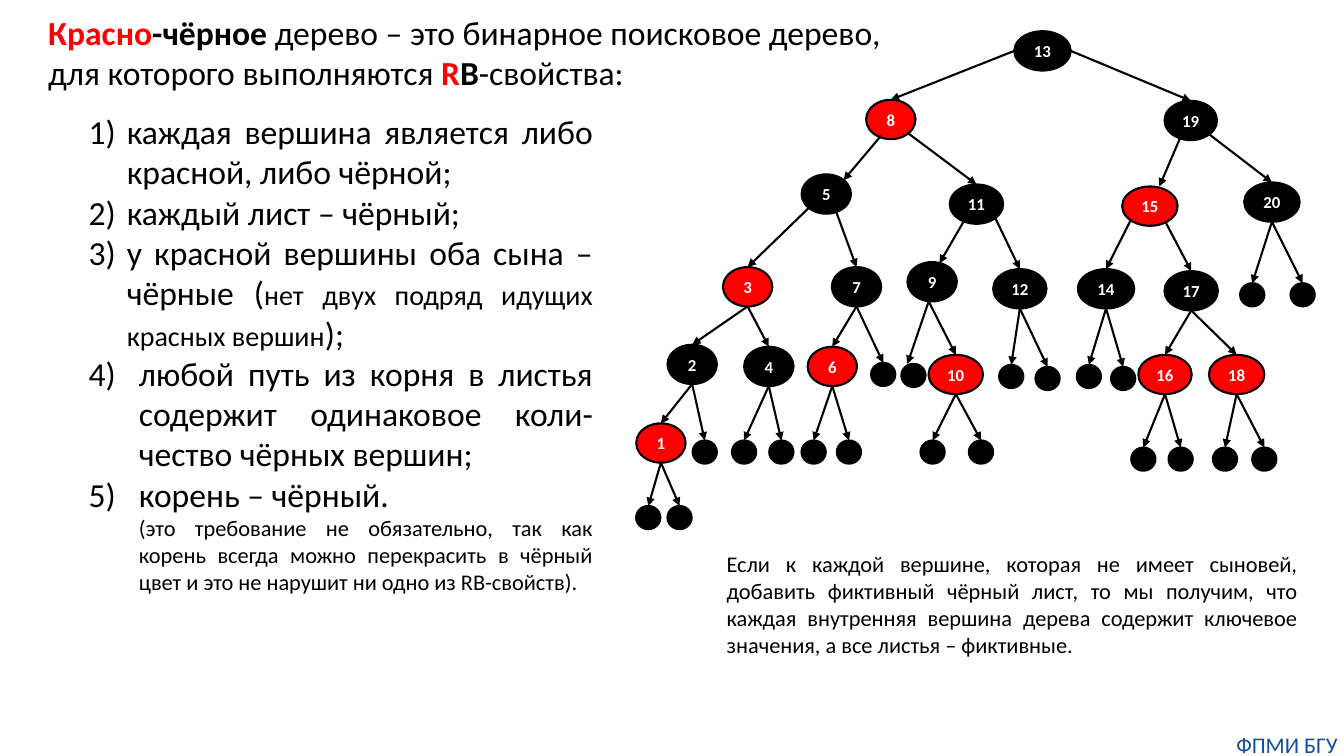
"""Build a slide that defines red-black trees and shows an example tree."""
from dataclasses import dataclass

from lxml.etree import SubElement
from pptx import Presentation
from pptx.dml.color import RGBColor
from pptx.enum.shapes import MSO_CONNECTOR, MSO_SHAPE
from pptx.enum.text import MSO_ANCHOR, PP_ALIGN
from pptx.oxml.ns import qn
from pptx.util import Inches, Pt

BLACK = RGBColor(0x00, 0x00, 0x00)
RED = RGBColor(0xFF, 0x00, 0x00)
WHITE = RGBColor(0xFF, 0xFF, 0xFF)
BLUE = RGBColor(0x14, 0x4E, 0x9D)
FONT = "Calibri"
LINE_WIDTH = Pt(1.5)


@dataclass(frozen=True)
class Node:
    """A tree vertex; leave and arrive are fractions of the parent and own box."""
    label: str
    parent: str
    left: float
    top: float
    width: float = 0.49
    height: float = 0.39
    fill: RGBColor = BLACK
    leave: tuple[float, float] = (0.5, 1)
    arrive: tuple[float, float] = (0.5, 0)

    def point(self, fraction: tuple[float, float]) -> tuple[float, float]:
        """Return the slide position of a fraction of the box."""
        return self.left + self.width * fraction[0], self.top + self.height * fraction[1]


@dataclass(frozen=True)
class Rule:
    """One numbered property with its numbering start and hanging indent."""
    runs: tuple[tuple[str, int], ...]
    start: int = 1
    margin: float = 0.88
    hanging: float = 0.38


KEYS = [
    Node("13", "", 10.06, 0.31, 0.56),
    Node("8", "13", 8.59, 0.99, fill=RED, leave=(0, 0.5)),
    Node("19", "13", 11.55, 1, 0.52, leave=(1, 0.5)),
    Node("5", "8", 7.95, 1.73, leave=(0.3, 0.92), arrive=(0.85, 0.15)),
    Node("11", "8", 9.42, 1.83, 0.53, leave=(0.85, 0.85)),
    Node("15", "19", 11.13, 1.85, 0.55, fill=RED, leave=(0.29, 0.97), arrive=(0.67, 0)),
    Node("20", "19", 12.34, 1.81, 0.55, leave=(0.85, 0.85)),
    Node("3", "5", 7.17, 2.65, fill=RED, leave=(0.15, 0.85)),
    Node("7", "5", 8.25, 2.65, leave=(0.7, 0.95)),
    Node("9", "11", 9, 2.6, leave=(0.27, 0.92), arrive=(0.65, 0.03)),
    Node("12", "11", 9.85, 2.67, 0.53, leave=(0.85, 0.85)),
    Node("14", "15", 10.69, 2.67, 0.56, leave=(0.15, 0.87)),
    Node("17", "15", 11.55, 2.69, 0.53, leave=(0.78, 0.9)),
    Node("2", "3", 6.62, 3.42),
    Node("4", "3", 7.38, 3.44),
    Node("6", "7", 8.01, 3.44, fill=RED),
    Node("10", "9", 9.21, 3.52, 0.54, fill=RED, leave=(0.43, 1)),
    Node("16", "17", 11.29, 3.52, 0.53, fill=RED),
    Node("18", "17", 11.99, 3.52, 0.55, fill=RED),
    Node("1", "2", 6.31, 4.2, fill=RED),
]
LEAF_PLACES = [
    ("1", 6.31, 5.02), ("1", 6.62, 5.02), ("2", 6.87, 4.37),
    ("4", 7.26, 4.37), ("4", 7.63, 4.37), ("6", 7.95, 4.37), ("6", 8.3, 4.37),
    ("7", 8.64, 3.6), ("10", 9.13, 4.37), ("10", 9.61, 4.37),
    ("12", 9.91, 3.62), ("12", 10.27, 3.64), ("14", 10.68, 3.62), ("14", 11.02, 3.64),
    ("16", 11.22, 4.44), ("16", 11.59, 4.44), ("18", 12.03, 4.44), ("18", 12.42, 4.44),
    ("20", 12.3, 2.81), ("20", 12.8, 2.81),
]
LEAVES = [Node("", parent, left, top, 0.24, 0.23) for parent, left, top in LEAF_PLACES]
LEAVES.append(Node("", "9", 8.94, 3.61, 0.24, 0.23, leave=(0.43, 1), arrive=(0.25, 0)))

RULES = [
    Rule((("каждая вершина являетcя либо красной, либо чёрной;", 24),)),
    Rule((("каждый лист – чёрный;", 24),)),
    Rule((("у красной вершины оба сына – чёрные (", 24),
          ("нет двух подряд идущих красных вершин", 20), (");", 24))),
    Rule((("любой путь из корня в листья содержит одинаковое коли-чество чёрных вершин;", 24),),
         4, 1, 0.5),
    Rule((("корень – чёрный.", 24),), 4, 1, 0.5),
    Rule((("(это требование не обязательно, так как корень всегда можно перекрасить "
           "в чёрный цвет и это не нарушит ни одно из RB-свойств).", 16),), 0, 1, 0),
]
TITLE = [
    [("Красно", RED, True), ("-чёрное ", BLACK, True),
     ("дерево – это бинарное поисковое дерево, ", BLACK, False)],
    [("для которого выполняются ", BLACK, False), ("R", RED, True), ("B", BLACK, True),
     ("-свойства:", BLACK, False)],
]
NOTE = ("Если к каждой вершине, которая не имеет сыновей, добавить фиктивный чёрный лист, "
        "то мы получим, что каждая внутренняя вершина дерева содержит ключевое значения, "
        "а все листья – фиктивные.")


def add_text(p, text: str, *, size: int, color: RGBColor = BLACK, bold: bool = False,
             align: PP_ALIGN = PP_ALIGN.JUSTIFY) -> None:
    """Append a formatted run to a paragraph."""
    p.alignment = align
    r = p.add_run()
    r.text = text
    r.font.name = FONT
    r.font.size = Pt(size)
    r.font.bold = bold
    r.font.color.rgb = color


def add_box(s, left: float, top: float, width: float, height: float, wrap: bool = True):
    """Add a text box and return its text frame."""
    tf = s.shapes.add_textbox(Inches(left), Inches(top), Inches(width), Inches(height)).text_frame
    tf.word_wrap = wrap
    return tf


def next_paragraph(tf, index: int):
    """Return the first paragraph of a frame or a new one."""
    return tf.add_paragraph() if index else tf.paragraphs[0]


def number_paragraph(p, rule: Rule) -> None:
    """Set the hanging indent and the automatic number."""
    pPr = p._p.get_or_add_pPr()
    pPr.set("marL", str(Inches(rule.margin)))
    pPr.set("indent", str(-Inches(rule.hanging)))
    if rule.start:
        bullet = SubElement(pPr, qn("a:buAutoNum"), type="arabicParenR")
        if rule.start > 1:
            bullet.set("startAt", str(rule.start))


def add_node(s, node: Node) -> None:
    """Draw a vertex with its key."""
    sp = s.shapes.add_shape(MSO_SHAPE.OVAL, Inches(node.left), Inches(node.top),
                            Inches(node.width), Inches(node.height))
    sp.shadow.inherit = False
    sp.fill.solid()
    sp.fill.fore_color.rgb = node.fill
    sp.line.color.rgb = BLACK
    sp.line.width = LINE_WIDTH
    if node.label:
        tf = sp.text_frame
        tf.word_wrap = False
        tf.vertical_anchor = MSO_ANCHOR.MIDDLE
        add_text(tf.paragraphs[0], node.label, size=12, color=WHITE, bold=True,
                 align=PP_ALIGN.CENTER)


def add_edge(s, parent: Node, child: Node) -> None:
    """Draw an arrow from a parent to its child."""
    ends = parent.point(child.leave) + child.point(child.arrive)
    cxn = s.shapes.add_connector(MSO_CONNECTOR.STRAIGHT, *map(Inches, ends))
    cxn.line.color.rgb = BLACK
    cxn.line.width = LINE_WIDTH
    SubElement(cxn.line._get_or_add_ln(), qn("a:tailEnd"), type="triangle")
    SubElement(cxn._element.spPr, qn("a:effectLst"))


def main() -> None:
    """Build and save the slide."""
    prs = Presentation()
    prs.slide_width, prs.slide_height = Inches(13.33), Inches(7.5)
    s = prs.slides.add_slide(prs.slide_layouts[6])

    tf = add_box(s, 12.2, 7.25, 1.13, 0.27, wrap=False)
    tf.margin_left = tf.margin_right = tf.margin_top = tf.margin_bottom = 0
    add_text(tf.paragraphs[0], "ФПМИ БГУ", size=16, color=BLUE, align=PP_ALIGN.CENTER)

    nodes = KEYS + LEAVES
    by_label = {node.label: node for node in KEYS}
    for node in nodes:
        add_node(s, node)
    for node in nodes:
        if node.parent:
            add_edge(s, by_label[node.parent], node)

    tf = add_box(s, 0.28, 1.05, 5.7, 4.95)
    for i, rule in enumerate(RULES):
        p = next_paragraph(tf, i)
        number_paragraph(p, rule)
        for text, size in rule.runs:
            add_text(p, text, size=size)

    tf = add_box(s, 7.11, 5.41, 5.86, 1.18)
    add_text(tf.paragraphs[0], NOTE, size=16)

    tf = add_box(s, 0.38, 0.07, 9.12, 0.91)
    for i, runs in enumerate(TITLE):
        p = next_paragraph(tf, i)
        for text, color, bold in runs:
            add_text(p, text, size=24, color=color, bold=bold)

    prs.save("out.pptx")


if __name__ == "__main__":
    main()
